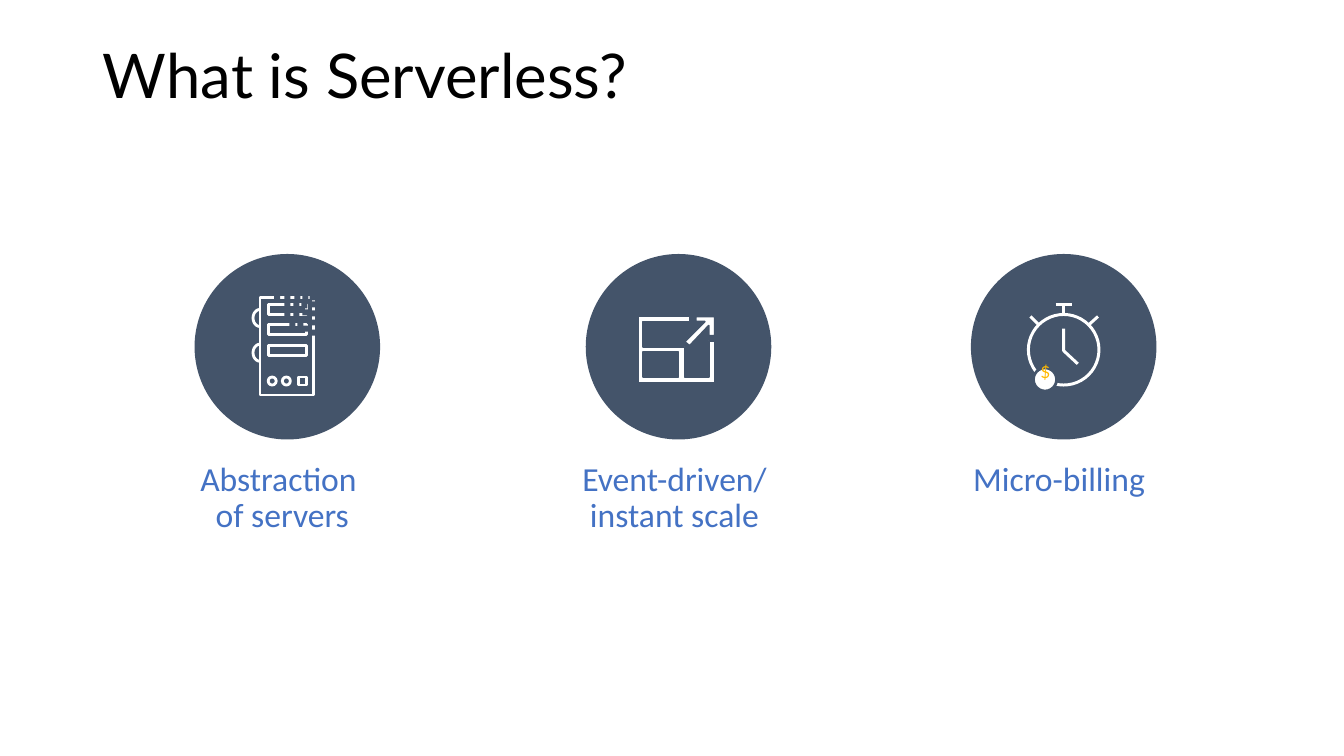
import math
from dataclasses import dataclass

import pptx
import pptx.dml.color
import pptx.enum.shapes
import pptx.enum.text
import pptx.oxml
import pptx.util

Inches = pptx.util.Inches
Shape = pptx.enum.shapes.MSO_SHAPE
Align = pptx.enum.text.PP_ALIGN
AutoSize = pptx.enum.text.MSO_AUTO_SIZE


@dataclass(frozen=True)
class Theme:
    disc: str = "44546A"
    icon: str = "FFFFFF"
    label: str = "4472C4"
    title: str = "000000"
    coin: str = "FFB900"
    title_font: str = "Lato"
    label_font: str = "Calibri"
    title_size: float = 44
    label_size: float = 24
    coin_size: float = 11.8
    stroke: float = 2
    watch_stroke: float = 2.13
    outline: float = 1.25


THEME = Theme()

# Content: label text, label left and width, disc left
TITLE = "What is Serverless?"
TOPICS = {
    "servers": ("Abstraction \vof servers", 1.44, 2.82, 1.93),
    "scale": ("Event-driven/ instant scale", 5.28, 2.92, 5.81),
    "billing": ("Micro-billing", 9.21, 2.69, 9.63),
}
LABEL_TOP, LABEL_HEIGHT = 4.43, 1.05
DISC_TOP, DISC_SIZE = 2.52, 1.84

# Icon geometry in inches
WATCH_HAND = [(10.55, 3.26), (10.55, 3.48), (10.69, 3.61)]
WATCH_LINES = [
    (10.47, 3.02, 10.63, 3.02), (10.55, 3.12, 10.55, 3.02),
    (10.89, 3.14, 10.79, 3.23), (10.22, 3.14, 10.31, 3.23),
]
SCALE_FRAME = [
    [(7.03, 3.74), (6.79, 3.74), (6.79, 3.44), (6.38, 3.44), (6.38, 3.19), (6.84, 3.19),
     (6.84, 3.14), (6.33, 3.14), (6.33, 3.8), (7.09, 3.8), (7.09, 3.38), (7.03, 3.38)],
    [(6.38, 3.49), (6.73, 3.49), (6.73, 3.74), (6.38, 3.74)],
]
SCALE_ARROW = [
    [(6.9, 3.19), (6.99, 3.19), (6.79, 3.39), (6.84, 3.43), (7.03, 3.23),
     (7.03, 3.33), (7.09, 3.33), (7.09, 3.14), (6.9, 3.14)],
]
SERVER_SLOT_TOPS = [3.02, 3.22, 3.43]
SERVER_HANDLE_CENTRES = [3.155, 3.5]
SERVER_BUTTONS = [(Shape.OVAL, 2.66), (Shape.OVAL, 2.8), (Shape.RECTANGLE, 2.96)]
PIXEL = 0.06
DISSOLVED_PIXELS = [
    (2.72, 2.92), (2.92, 2.92), (3, 2.91), (3.07, 2.92), (2.99, 3), (2.91, 2.98),
    (3, 3.07), (2.82, 2.91), (3.09, 2.99), (3.09, 3.08), (3.08, 3.17), (3.08, 3.27),
    (2.91, 3.09), (2.95, 3.2), (3, 3.23), (2.87, 3.2), (2.82, 2.98), (2.82, 3.1),
]


def rgb(value):
    return pptx.dml.color.RGBColor.from_string(value)


def paint(shape, fill=None, line=None, weight=THEME.stroke):
    shape.shadow.inherit = False
    if fill:
        shape.fill.solid()
        shape.fill.fore_color.rgb = rgb(fill)
    else:
        shape.fill.background()
    if line:
        shape.line.color.rgb = rgb(line)
        shape.line.width = pptx.util.Pt(weight)
    else:
        shape.line.fill.background()


def add_preset(group, kind, left, top, width, height, **style):
    shape = group.shapes.add_shape(
        kind, Inches(left), Inches(top), Inches(width), Inches(height))
    paint(shape, **style)


def add_outline(group, contours, close, **style):
    first, *others = [[(Inches(x), Inches(y)) for x, y in points] for points in contours]
    builder = group.shapes.build_freeform(*first[0])
    builder.add_line_segments(first[1:], close=close)
    for points in others:
        builder.move_to(*points[0])
        builder.add_line_segments(points[1:], close=close)
    paint(builder.convert_to_shape(), **style)


def add_line(group, x1, y1, x2, y2):
    line = group.shapes.add_connector(
        pptx.enum.shapes.MSO_CONNECTOR.STRAIGHT,
        Inches(x1), Inches(y1), Inches(x2), Inches(y2))
    line.line.color.rgb = rgb(THEME.icon)
    line.line.width = pptx.util.Pt(THEME.watch_stroke)
    line._element.spPr.append(pptx.oxml.parse_xml(
        '<a:effectLst xmlns:a="http://schemas.openxmlformats.org/drawingml/2006/main"/>'))


def set_text(frame, text, font, size, color, align, after=0):
    frame.text = text
    para = frame.paragraphs[0]
    para.alignment = align
    para.line_spacing = 0.9
    para.space_before = pptx.util.Pt(0)
    para.space_after = pptx.util.Pt(after)
    for span in para.runs:
        span.font.name = font
        span.font.size = pptx.util.Pt(size)
        span.font.color.rgb = rgb(color)


def add_text(parent, left, top, width, height, margin_left, wrap, *text_style):
    box = parent.shapes.add_textbox(
        Inches(left), Inches(top), Inches(width), Inches(height))
    frame = box.text_frame
    frame.word_wrap = wrap
    frame.auto_size = AutoSize.SHAPE_TO_FIT_TEXT
    frame.margin_left, frame.margin_right = Inches(margin_left), Inches(0.2)
    frame.margin_top = frame.margin_bottom = Inches(0.16)
    set_text(frame, *text_style)


def draw_billing(group):
    stroke = {"line": THEME.icon, "weight": THEME.watch_stroke}
    add_outline(group, [WATCH_HAND], False, **stroke)
    add_preset(group, Shape.OVAL, 10.2, 3.12, 0.7, 0.7, **stroke)
    for ends in WATCH_LINES:
        add_line(group, *ends)
    add_preset(group, Shape.OVAL, 10.25, 3.65, 0.23, 0.23, fill=THEME.icon, line=THEME.disc)
    add_text(group, 10.12, 3.52, 0.49, 0.49, 0.2, False, "$", THEME.title_font,
             THEME.coin_size, THEME.coin, Align.LEFT, 5.9)


def draw_scale(group):
    for contours in (SCALE_FRAME, SCALE_ARROW):
        add_outline(group, contours, True,
                    fill=THEME.icon, line=THEME.disc, weight=THEME.outline)


def draw_servers(group):
    add_preset(group, Shape.RECTANGLE, 2.58, 2.95, 0.53, 0.97, line=THEME.icon)
    for top in SERVER_SLOT_TOPS:
        add_preset(group, Shape.RECTANGLE, 2.66, top, 0.38, 0.1, line=THEME.icon)
    for centre in SERVER_HANDLE_CENTRES:
        angles = [math.radians(degrees) for degrees in range(90, 271, 15)]
        arc = [(2.58 + 0.07 * math.cos(a), centre + 0.085 * math.sin(a)) for a in angles]
        add_outline(group, [arc], False, line=THEME.icon)
    for kind, left in SERVER_BUTTONS:
        add_preset(group, kind, left, 3.74, 0.08, 0.08, line=THEME.icon)
    for left, top in DISSOLVED_PIXELS:
        add_preset(group, Shape.RECTANGLE, left, top, PIXEL, PIXEL, fill=THEME.disc)


def main():
    deck = pptx.Presentation()
    deck.slide_width, deck.slide_height = Inches(13.33), Inches(7.5)
    page = deck.slides.add_slide(deck.slide_layouts[5])

    # Title
    title = page.shapes.title
    title.left, title.top = Inches(0.92), Inches(0.4)
    title.width, title.height = Inches(11.5), Inches(1.45)
    title.text_frame.auto_size = AutoSize.NONE
    title.text_frame.vertical_anchor = pptx.enum.text.MSO_ANCHOR.TOP
    set_text(title.text_frame, TITLE, THEME.title_font, THEME.title_size,
             THEME.title, Align.LEFT)

    # Topics: label, disc and icon
    icons = {"servers": draw_servers, "scale": draw_scale, "billing": draw_billing}
    for name, (label, left, width, disc_left) in TOPICS.items():
        add_text(page, left, LABEL_TOP, width, LABEL_HEIGHT, 0.1, True, label,
                 THEME.label_font, THEME.label_size, THEME.label, Align.CENTER, 12)
        group = page.shapes.add_group_shape()
        add_preset(group, Shape.OVAL, disc_left, DISC_TOP, DISC_SIZE, DISC_SIZE,
                   fill=THEME.disc)
        icons[name](group)

    deck.save("out.pptx")


if __name__ == "__main__":
    main()
